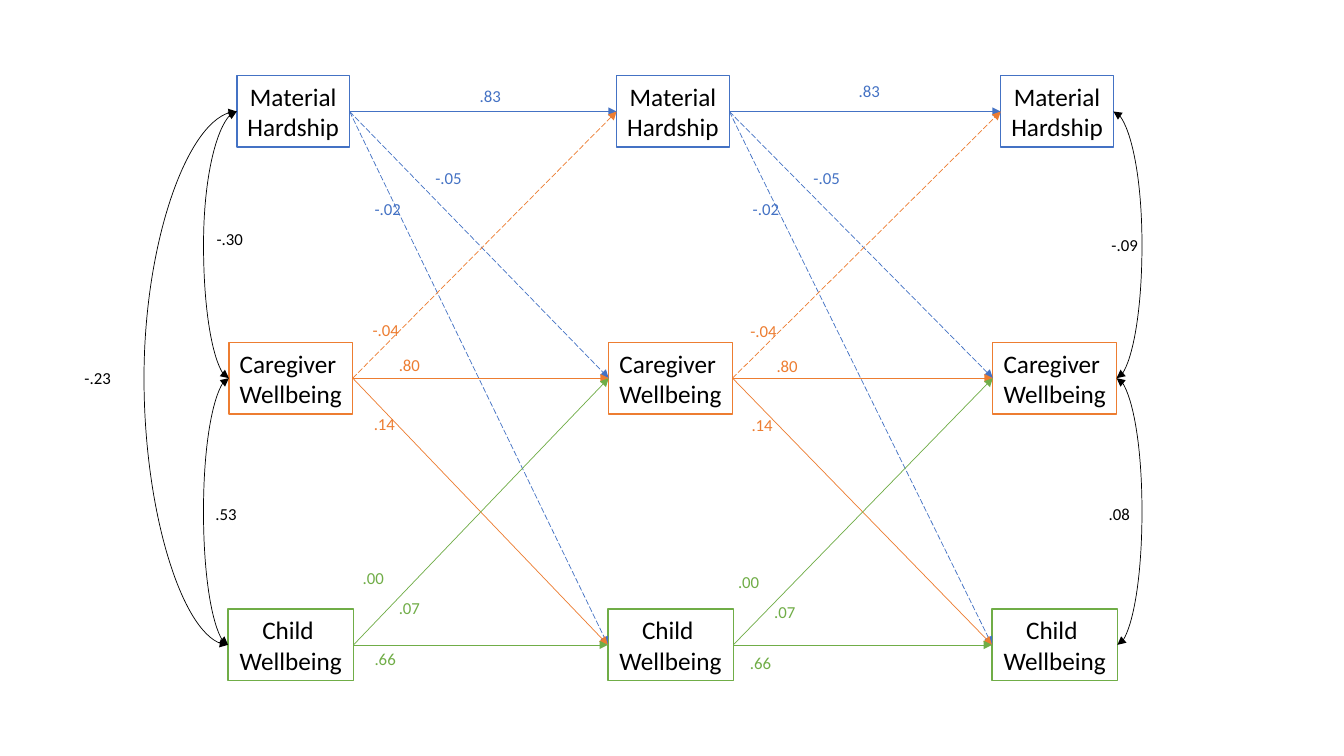
from lxml import etree
from pptx import Presentation
from pptx import util as u
from pptx.dml.color import RGBColor
from pptx.enum import dml, shapes, text
from pptx.oxml.ns import qn

COLORS = {"hardship": "4472C4", "caregiver": "ED7D31", "child": "70AD47",
          "ink": "000000", "paper": "FFFFFF"}
BOX_TEXT = {"name": "Calibri", "size": u.Pt(18)}
LABEL_TEXT = {"name": "Calibri", "size": u.Pt(12)}
LEFT, RIGHT = 1, 3
TOP, ROW_STEP, BOX_HEIGHT = 1.91, 6.72, 1.8
COLUMNS = [5.77, 15.34, 25.02]
CONSTRUCTS = [
    ("hardship", ["Material", "Hardship"], 0.2, 2.84),
    ("caregiver", ["Caregiver ", "Wellbeing"], 0, 3.12),
    ("child", ["Child ", "Wellbeing"], -0.02, 3.16),
]
PATHS = [
    ("hardship", "hardship", False), ("hardship", "caregiver", True),
    ("hardship", "child", True), ("caregiver", "caregiver", False),
    ("caregiver", "hardship", True), ("caregiver", "child", False),
    ("child", "caregiver", False), ("child", "child", False),
]
PATH_LABELS = [
    (".83", "hardship", 6.07, 0.12, (-0.02, -0.13)),
    ("-.05", "hardship", 4.95, 2.2, (-0.04, 0)),
    ("-.02", "hardship", 3.42, 2.97, (-0.04, 0)),
    (".80", "caregiver", 4.03, 6.9, (-0.05, 0.03)),
    (".14", "caregiver", 3.4, 8.38, (-0.05, 0.03)),
    ("-.04", "caregiver", 3.37, 6.01, (-0.05, 0.03)),
    (".07", "child", 4.03, 13.03, (-0.11, 0.1)),
    (".66", "child", 3.42, 14.32, (-0.11, 0.1)),
    (".00", "child", 3.12, 12.26, (-0.11, 0.1)),
]
LEFT_ARCS = [("hardship", "caregiver", 5.13), ("hardship", "child", 3.63),
             ("caregiver", "child", 5.13)]
RIGHT_ARCS = [("hardship", "caregiver", 28.78), ("caregiver", "child", 28.78)]
LEFT_LABELS = [(".53", -0.59, 10.66), ("-.30", -0.56, 3.73), ("-.23", -3.89, 7.23)]
RIGHT_LABELS = [(".08", 2.67, 10.66), ("-.09", 2.74, 3.88)]


def rgb(key):
    return RGBColor.from_string(COLORS[key])


def set_all(obj, values):
    for name, value in values.items():
        setattr(obj, name, value)


def write(tf, lines, style, color, align):
    set_all(tf, {"word_wrap": False, "auto_size": text.MSO_AUTO_SIZE.SHAPE_TO_FIT_TEXT})
    for i, line in enumerate(lines):
        p = tf.paragraphs[0] if i == 0 else tf.add_paragraph()
        p.alignment = align
        r = p.add_run()
        r.text = line
        set_all(r.font, style)
        r.font.color.rgb = rgb(color)


def add_label(slide, label, color, x, y):
    width = 1.19 if label.startswith("-") else 1.07
    sp = slide.shapes.add_textbox(u.Cm(x), u.Cm(y), u.Cm(width), u.Cm(0.77))
    write(sp.text_frame, [label], LABEL_TEXT, color, text.PP_ALIGN.LEFT)


def add_arrow(slide, kind, begin, end, color, ends, dashed=False):
    line = slide.shapes.add_connector(kind, 0, 0, 0, 0)
    line.begin_connect(*begin)
    line.end_connect(*end)
    line.line.color.rgb = rgb(color)
    line.line.width = u.Pt(0.5)
    if dashed:
        line.line.dash_style = dml.MSO_LINE.LONG_DASH
    sp_pr = line._element.spPr
    for tag in ends:
        etree.SubElement(sp_pr.find(qn("a:ln")), qn(tag), type="triangle")
    etree.SubElement(sp_pr, qn("a:effectLst"))
    return line


def draw_wave(slide, left, top):
    boxes = {}
    for row, (key, lines, inset, width) in enumerate(CONSTRUCTS):
        sp = slide.shapes.add_shape(
            shapes.MSO_SHAPE.RECTANGLE, u.Cm(left + inset),
            u.Cm(top + row * ROW_STEP), u.Cm(width), u.Cm(BOX_HEIGHT))
        sp.shadow.inherit = False
        sp.fill.solid()
        sp.fill.fore_color.rgb = rgb("paper")
        sp.line.color.rgb = rgb(key)
        sp.line.width = u.Pt(1)
        write(sp.text_frame, lines, BOX_TEXT, "ink", text.PP_ALIGN.CENTER)
        boxes[key] = sp
    return boxes


def draw_paths(slide, before, after):
    for source, target, dashed in PATHS:
        add_arrow(slide, shapes.MSO_CONNECTOR.STRAIGHT, (before[source], RIGHT),
                  (after[target], LEFT), source, ["a:tailEnd"], dashed)


def draw_path_labels(slide, left, top, shifted):
    for label, color, x, y, (dx, dy) in PATH_LABELS:
        add_label(slide, label, color, left + x + dx * shifted, top + y + dy * shifted)


def draw_arcs(slide, boxes, side, arcs):
    for source, target, bulge in arcs:
        arc = add_arrow(slide, shapes.MSO_CONNECTOR.CURVE, (boxes[source], side),
                        (boxes[target], side), "ink", ["a:headEnd", "a:tailEnd"])
        ratio = (u.Cm(bulge) - arc.begin_x) / (arc.end_x - arc.begin_x)
        guides = arc._element.spPr.find(qn("a:prstGeom")).get_or_add_avLst()
        etree.SubElement(guides, qn("a:gd"), name="adj1",
                         fmla=f"val {round(ratio * 100000)}")


def draw_arc_labels(slide, left, top, labels):
    for label, x, y in labels:
        add_label(slide, label, "ink", left + x, top + y)


prs = Presentation()
set_all(prs, {"slide_width": u.Cm(33.87), "slide_height": u.Cm(19.05)})
slide = prs.slides.add_slide(prs.slide_layouts[6])
waves = [draw_wave(slide, left, TOP) for left in COLUMNS]
for before, after in zip(waves, waves[1:]):
    draw_paths(slide, before, after)
draw_arcs(slide, waves[0], LEFT, LEFT_ARCS)
draw_arcs(slide, waves[-1], RIGHT, RIGHT_ARCS)
for index, left in enumerate(COLUMNS[:-1]):
    draw_path_labels(slide, left, TOP, index)
draw_arc_labels(slide, COLUMNS[0], TOP, LEFT_LABELS)
draw_arc_labels(slide, COLUMNS[-1], TOP, RIGHT_LABELS)
prs.save("out.pptx")
